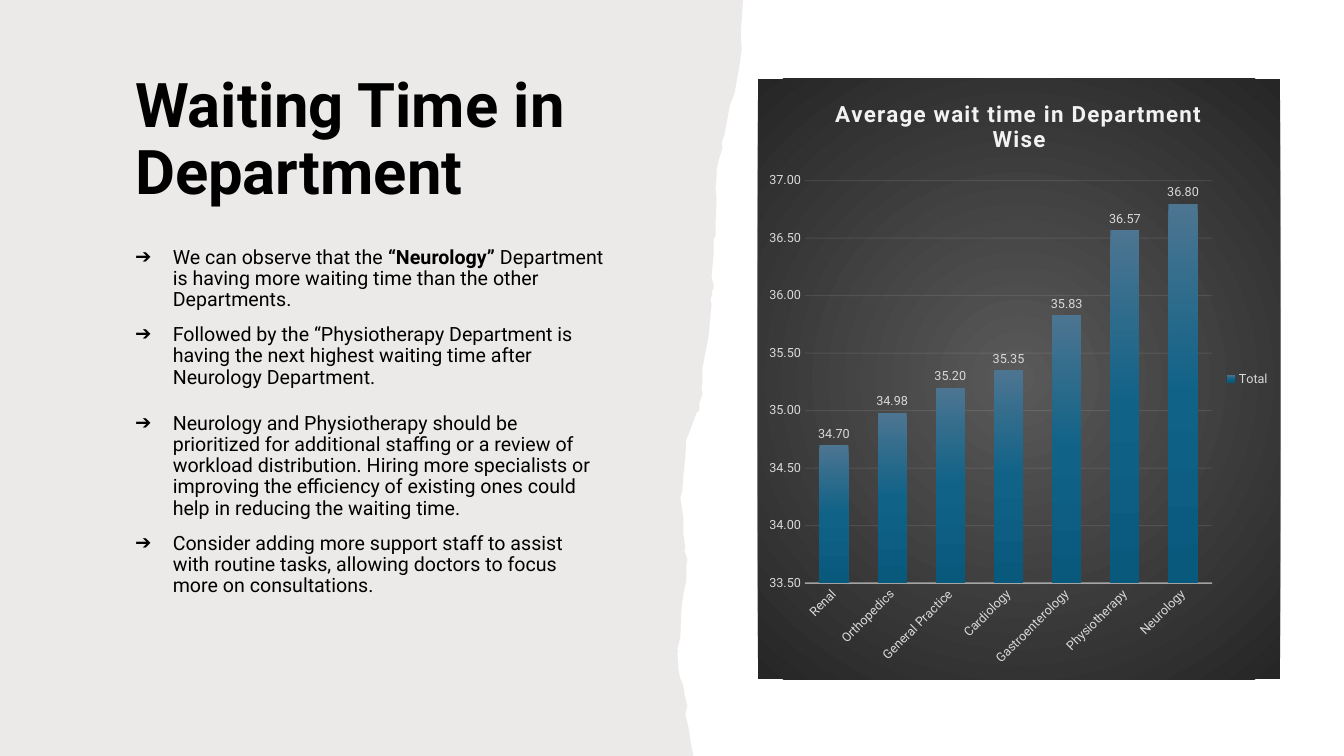
from lxml import etree
from pptx import Presentation, util as u
from pptx.chart.data import CategoryChartData
from pptx.dml.color import RGBColor
from pptx.enum import chart as ch, text
from pptx.oxml import parse_xml
from pptx.oxml.ns import qn, nsdecls


def paint(fill, tone, alpha=100):
    fill.solid()
    fill.fore_color.rgb = RGBColor.from_string(tone)
    if alpha < 100:
        clr = next(fill._xPr.iter(qn("a:srgbClr")))
        etree.SubElement(clr, qn("a:alpha")).set("val", str(alpha * 1000))


def blend(stops, way):
    tones = "".join(
        f'<a:gs pos="{spot * 1000}"><a:srgbClr val="{tone}"/></a:gs>' for spot, tone in stops)
    return f"<a:gradFill><a:gsLst>{tones}</a:gsLst>{way}</a:gradFill>"


deck = Presentation()
deck.slide_width, deck.slide_height = u.Cm(33.87), u.Cm(19.05)
slide = deck.slides.add_slide(deck.slide_layouts[1])

edge = [
    (737, 0), (737, 3), (735, 34), (736, 49), (733, 70), (732, 74), (729, 92), (724, 105),
    (721, 122), (720, 127), (719, 133), (716, 142), (717, 147), (714, 156), (711, 168),
    (711, 175), (710, 186), (711, 198), (710, 221), (710, 234), (708, 238), (708, 254),
    (707, 264), (706, 275), (708, 282), (708, 286), (706, 290), (707, 292), (705, 297),
    (706, 302), (703, 334), (697, 365), (697, 378), (696, 386), (697, 391), (694, 400),
    (694, 407), (691, 410), (684, 429), (681, 436), (680, 453), (678, 473), (677, 487),
    (675, 494), (676, 500), (677, 507), (678, 513), (678, 529), (680, 544), (679, 546),
    (682, 555), (681, 561), (681, 576), (678, 590), (676, 606), (675, 633), (673, 640),
    (672, 644), (673, 646), (672, 648), (673, 658), (673, 664), (675, 673), (678, 680),
    (679, 688), (682, 700), (680, 709), (683, 721), (686, 740), (688, 750),
]
pen = slide.shapes.build_freeform(0, 0, scale=u.Cm(2.54) / 100)
pen.add_line_segments(edge + [(0, 750)], close=True)
torn = pen.convert_to_shape()
torn.shadow.inherit = False
paint(torn.fill, "82766A", 15)
torn.line.fill.background()
slide.shapes._spTree.insert(2, torn._element)

title, body = slide.placeholders
title.left, title.top, title.width, title.height = [u.Cm(n) for n in (3.15, 1.7, 13.28, 3.71)]
body.left, body.top, body.width, body.height = [u.Cm(n) for n in (3.15, 6.1, 12.32, 10.85)]
title.text_frame.vertical_anchor = text.MSO_ANCHOR.MIDDLE

points = [
    (0, [("We can observe that the ", False), ("“Neurology”", True),
         (" Department is having more waiting time than the other Departments.", False)]),
    (8, [("Followed by the “Physiotherapy Department is having the next highest waiting time "
          "after Neurology Department.", False)]),
    (0, [("Neurology and Physiotherapy should be prioritized for additional staffing or a review "
          "of workload distribution. Hiring more specialists or improving the efficiency of "
          "existing ones could help in reducing the waiting time.", False)]),
    (8, [("Consider adding more support staff to assist with routine tasks, allowing doctors to "
          "focus more on consultations.", False)]),
]
jobs = [(title, 44, 0, 0, [("Waiting Time in Department", True)])]
jobs += [(body, 14, 10, after, runs) for after, runs in points]
for box, size, before, after, runs in jobs:
    frame = box.text_frame
    frame.word_wrap = True
    frame.auto_size = text.MSO_AUTO_SIZE.NONE
    para = frame.paragraphs[0] if not frame.text else frame.add_paragraph()
    para.alignment = text.PP_ALIGN.LEFT
    para.line_spacing = 0.9
    para.space_before, para.space_after = u.Pt(before), u.Pt(after)
    for words, bold in runs:
        run = para.add_run()
        run.text = words
        run.font.name, run.font.size, run.font.bold = "Roboto", u.Pt(size), bold
        paint(run.font.fill, "000000")
    if box is body:
        props = para._p.get_or_add_pPr()
        props.set("marL", str(u.Cm(0.95)))
        props.set("indent", str(-u.Cm(0.95)))
        etree.SubElement(props, qn("a:buFont")).set("typeface", "Arial")
        etree.SubElement(props, qn("a:buChar")).set("char", "➔")

data = CategoryChartData(number_format="0.00")
data.categories = ["Renal", "Orthopedics", "General Practice", "Cardiology",
                   "Gastroenterology", "Physiotherapy", "Neurology"]
data.add_series("Total", [34.7, 34.98, 35.2, 35.35, 35.83, 36.57, 36.8])
chart = slide.shapes.add_chart(
    ch.XL_CHART_TYPE.COLUMN_CLUSTERED,
    u.Cm(19.1), u.Cm(1.98), u.Cm(13.16), u.Cm(15.14), data).chart
chart.font.name, chart.font.size = "Roboto", u.Pt(10)
back = blend([(0, "595959"), (100, "262626")],
             '<a:path path="circle"><a:fillToRect l="50000" t="50000" r="50000" b="50000"/></a:path>')
chart._chartSpace.find(qn("c:txPr")).addprevious(parse_xml(
    f'<c:spPr {nsdecls("c", "a")}>{back}<a:ln><a:noFill/></a:ln></c:spPr>'))

run = chart.chart_title.text_frame.paragraphs[0].add_run()
run.text = "Average wait time in Department Wise"
run.font.name, run.font.size, run.font.bold = "Roboto", u.Pt(16), True
paint(run.font.fill, "F2F2F2")
run.font._element.set("spc", "100")
chart.chart_title.include_in_layout = False

chart.has_legend = True
chart.legend.position = ch.XL_LEGEND_POSITION.RIGHT
chart.legend.include_in_layout = False

plot = chart.plots[0]
plot.gap_width, plot.overlap, plot.vary_by_categories = 100, -24, False
plot.has_data_labels = True
tags = plot.data_labels
tags.show_value = True
tags.position = ch.XL_LABEL_POSITION.OUTSIDE_END
tags.number_format, tags.number_format_is_linked = "0.00", False
bars = blend([(0, "4C7591"), (50, "106287"), (100, "09597D")], '<a:lin ang="5400000" scaled="0"/>')
shell = parse_xml(f'<c:spPr {nsdecls("c", "a")}>{bars}</c:spPr>')
plot.series[0]._element.get_or_add_spPr().append(shell[0])

cats, vals = chart.category_axis, chart.value_axis
for axis in (cats, vals):
    axis.major_tick_mark = axis.minor_tick_mark = ch.XL_TICK_MARK.NONE
for font in (cats.tick_labels.font, vals.tick_labels.font, chart.legend.font, tags.font):
    font.name, font.size = "Roboto", u.Pt(9)
    paint(font.fill, "D9D9D9")
cats._element.find(qn("c:txPr")).find(qn("a:bodyPr")).set("rot", "-2700000")
cats.format.line.width = u.Pt(1)
paint(cats.format.line.fill, "F2F2F2", 54)
vals.minimum_scale, vals.maximum_scale, vals.major_unit = 33.5, 37, 0.5
vals.tick_labels.number_format, vals.tick_labels.number_format_is_linked = "0.00", False
vals.format.line.fill.background()
grid = vals.major_gridlines.format.line
grid.width = u.Pt(0.75)
paint(grid.fill, "F2F2F2", 10)

area = chart._chartSpace.chart.plotArea
for old in area.findall(qn("c:layout")):
    area.remove(old)
rules = [("layoutTarget", "inner"), ("xMode", "edge"), ("yMode", "edge"),
         ("x", 0.09), ("y", 0.17), ("w", 0.78), ("h", 0.67)]
inner = "".join(f'<c:{name} val="{val}"/>' for name, val in rules)
area.insert(0, parse_xml(
    f'<c:layout {nsdecls("c")}><c:manualLayout>{inner}</c:manualLayout></c:layout>'))

deck.save("out.pptx")
